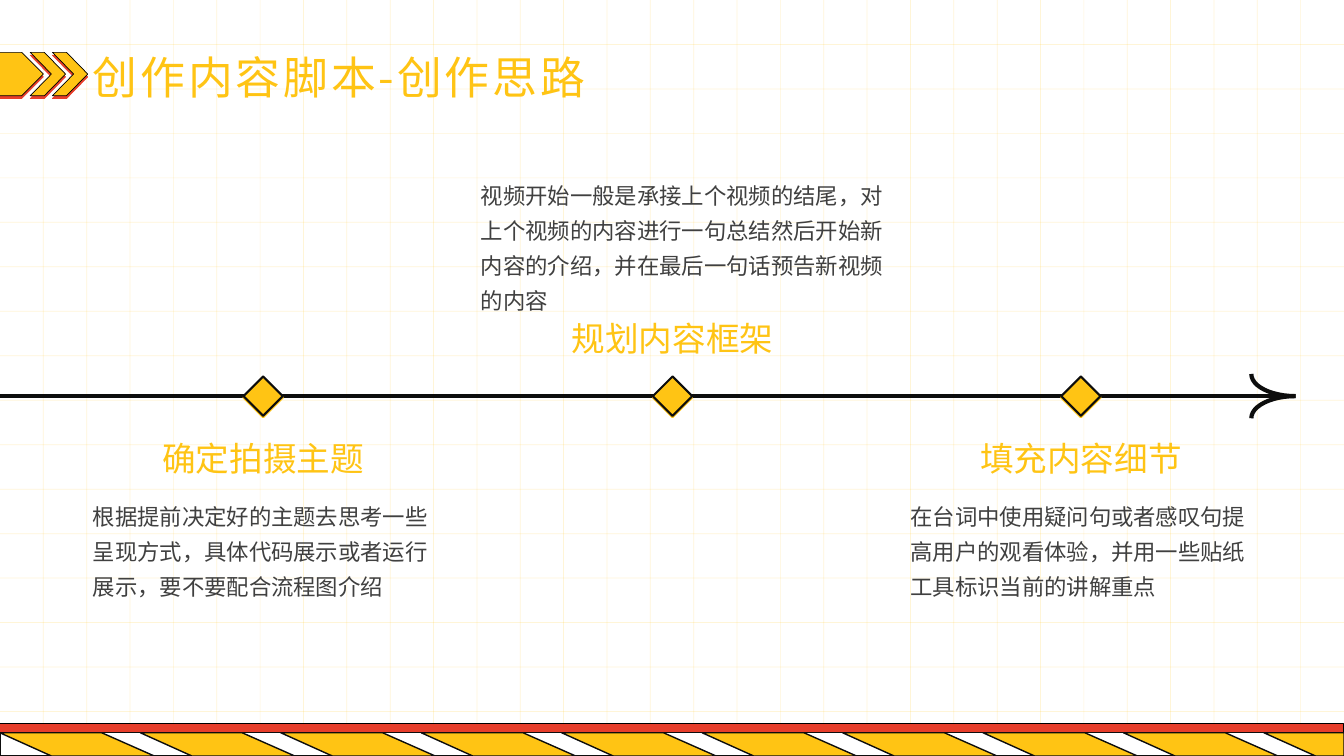
from dataclasses import dataclass

from lxml.etree import SubElement
from pptx import Presentation
from pptx.dml.color import RGBColor
from pptx.enum.shapes import MSO_CONNECTOR, MSO_SHAPE
from pptx.enum.text import PP_ALIGN
from pptx.oxml.ns import qn
from pptx.util import Inches, Pt


@dataclass(frozen=True)
class Theme:
    """Colours, font and type sizes of the slide."""
    yellow: str = "FFC414"
    red: str = "E73E2B"
    white: str = "FFFFFF"
    black: str = "000000"
    ink: str = "0D0D0D"
    body: str = "404040"
    font: str = "Noto Sans CJK SC"
    title_size: int = 32
    heading_size: int = 24
    body_size: int = 16
    title_leading: int = 35
    heading_leading: int = 29
    body_leading: int = 25


THEME = Theme()
WIDTH, HEIGHT = 13.33, 7.5
GRID_ROWS, GRID_COLUMNS = 17, 31
AXIS_Y = 3.93
STEP_CENTERS = (2.61, 6.67, 10.72)
STEPS = (
    ("确定拍摄主题", 4.34,
     "根据提前决定好的主题去思考一些呈现方式，具体代码展示或者运行展示，要不要配合流程图介绍",
     (0.92, 4.91, 3.39, 1.02)),
    ("规划内容框架", 3.15,
     "视频开始一般是承接上个视频的结尾，对上个视频的内容进行一句总结然后开始新内容的介绍，并在最后一句话预告新视频的内容",
     (4.77, 1.73, 4.05, 1.37)),
    ("填充内容细节", 4.34,
     "在台词中使用疑问句或者感叹句提高用户的观看体验，并用一些贴纸工具标识当前的讲解重点",
     (9.03, 4.91, 3.39, 1.02)),
)


def style_shape(shape, fill, line, weight):
    """Set fill, outline and no shadow; a fill of None leaves the shape open."""
    shape.shadow.inherit = False
    if fill:
        shape.fill.solid()
        shape.fill.fore_color.rgb = RGBColor.from_string(fill)
    else:
        shape.fill.background()
    shape.line.color.rgb = RGBColor.from_string(line)
    shape.line.width = Pt(weight)


def add_preset(slide, preset, box, fill, line, weight):
    """Add a preset shape in a box given in inches."""
    shape = slide.shapes.add_shape(preset, *map(Inches, box))
    style_shape(shape, fill, line, weight)
    return shape


def add_drop_shadow(shape, color, distance):
    """Cast a hard shadow straight down."""
    effects = shape._element.spPr.find(qn("a:effectLst"))
    shadow = SubElement(effects, qn("a:outerShdw"), blurRad="0",
                        dist=str(Pt(distance)), dir="5400000",
                        algn="t", rotWithShape="0")
    SubElement(shadow, qn("a:srgbClr"), val=color)


def add_line(slide, start, end, color, weight, opacity=100):
    """Add a straight line between two points in inches."""
    connector = slide.shapes.add_connector(
        MSO_CONNECTOR.STRAIGHT, *map(Inches, (*start, *end)))
    connector.line.color.rgb = RGBColor.from_string(color)
    connector.line.width = Pt(weight)
    properties = connector._element.spPr
    if opacity < 100:
        tint = properties.find(".//" + qn("a:srgbClr"))
        SubElement(tint, qn("a:alpha"), val=str(opacity * 1000))
    SubElement(properties, qn("a:effectLst"))


def add_text(slide, box, text, size, leading, color,
             align=PP_ALIGN.LEFT, wrap=True, tracking=0):
    """Add a text box without margins, holding one run."""
    frame = slide.shapes.add_textbox(*map(Inches, box)).text_frame
    frame.word_wrap = wrap
    frame.margin_left = frame.margin_right = 0
    frame.margin_top = frame.margin_bottom = 0
    paragraph = frame.paragraphs[0]
    paragraph.alignment = align
    paragraph.line_spacing = Pt(leading)
    run = paragraph.add_run()
    run.text = text
    run.font.size = Pt(size)
    run.font.color.rgb = RGBColor.from_string(color)
    run.font.name = THEME.font
    properties = run.font._element
    SubElement(properties, qn("a:ea"), typeface=THEME.font)
    if tracking:
        properties.set("spc", str(tracking * 100))


def draw_grid(slide, width, height):
    """Rule the background with pale lines at equal gaps."""
    for row in range(1, GRID_ROWS):
        y = height * row / GRID_ROWS
        add_line(slide, (0, y), (width, y), THEME.yellow, 0.5, 17)
    for column in range(1, GRID_COLUMNS):
        x = width * column / GRID_COLUMNS
        add_line(slide, (x, 0), (x, height), THEME.yellow, 0.5, 17)


def draw_footer(slide, left, top, width, height):
    """Draw the red bar and the slanted hazard stripes."""
    add_preset(slide, MSO_SHAPE.RECTANGLE, (left, top, width, 0.25),
               THEME.red, THEME.black, 0)
    stripe_top, bottom, right = top + 0.09, top + height, left + width
    add_preset(slide, MSO_SHAPE.RECTANGLE,
               (left, stripe_top, width, bottom - stripe_top),
               THEME.white, THEME.ink, 1)
    builder = None
    for index in range(10):
        x = left + 1.393 * index
        corners = [(Inches(min(x + shift, right)), Inches(y)) for shift, y in
                   ((0, stripe_top), (0.51, bottom),
                    (1.53, bottom), (1.01, stripe_top))]
        if builder is None:
            builder = slide.shapes.build_freeform(*corners[0])
        else:
            builder.move_to(*corners[0])
        builder.add_line_segments(corners[1:], close=True)
    style_shape(builder.convert_to_shape(), THEME.yellow, THEME.ink, 1)


def draw_title(slide, left, top, width, height):
    """Draw the arrow marks and the title beside them."""
    marks = ((MSO_SHAPE.PENTAGON, -0.01, 0.44, 0.5),
             (MSO_SHAPE.CHEVRON, 0.3, 0.35, 0.6),
             (MSO_SHAPE.CHEVRON, 0.52, 0.35, 0.6))
    for preset, offset, mark_width, point in marks:
        mark = add_preset(slide, preset, (left + offset, top, mark_width, 0.43),
                          THEME.yellow, THEME.black, 0.5)
        mark.adjustments[0] = point
        add_drop_shadow(mark, THEME.red, 2)
    add_text(slide, (left + 0.92, top + 0.02, width - 0.92, height),
             "创作内容脚本-创作思路", THEME.title_size, THEME.title_leading,
             THEME.yellow, tracking=2)


def draw_timeline(slide, left, axis, length):
    """Draw the axis, its curved arrowhead and a diamond for each step."""
    add_line(slide, (left, axis), (left + length, axis), THEME.ink, 3)
    for top, flipped in ((axis - 0.44, False), (axis, True)):
        barb = add_preset(slide, MSO_SHAPE.ARC,
                          (left + length - 0.29, top, 0.88, 0.44),
                          None, THEME.ink, 3)
        barb.rotation = 180
        if flipped:
            barb._element.spPr.find(qn("a:xfrm")).set("flipV", "1")
    size = 0.39
    for center in STEP_CENTERS:
        diamond = add_preset(slide, MSO_SHAPE.DIAMOND,
                             (center - size / 2, axis - size / 2, size, size),
                             THEME.yellow, THEME.ink, 1.5)
        add_drop_shadow(diamond, THEME.yellow, 1)


def draw_step(slide, center, heading, heading_top, description, box):
    """Write a step's heading around its centre and its description in a box."""
    add_text(slide, (center - 1.01, heading_top, 2.02, 0.4), heading,
             THEME.heading_size, THEME.heading_leading, THEME.yellow,
             align=PP_ALIGN.CENTER, wrap=False)
    add_text(slide, box, description, THEME.body_size, THEME.body_leading,
             THEME.body)


def main():
    """Build the slide and save it."""
    presentation = Presentation()
    presentation.slide_width = Inches(WIDTH)
    presentation.slide_height = Inches(HEIGHT)
    slide = presentation.slides.add_slide(presentation.slide_layouts[6])
    draw_grid(slide, WIDTH, HEIGHT)
    draw_footer(slide, 0, 7.18, WIDTH, 0.32)
    draw_title(slide, 0, 0.52, 5.93, 0.5)
    draw_timeline(slide, 0, AXIS_Y, 12.7)
    for center, step in zip(STEP_CENTERS, STEPS):
        draw_step(slide, center, *step)
    presentation.save("out.pptx")


if __name__ == "__main__":
    main()
